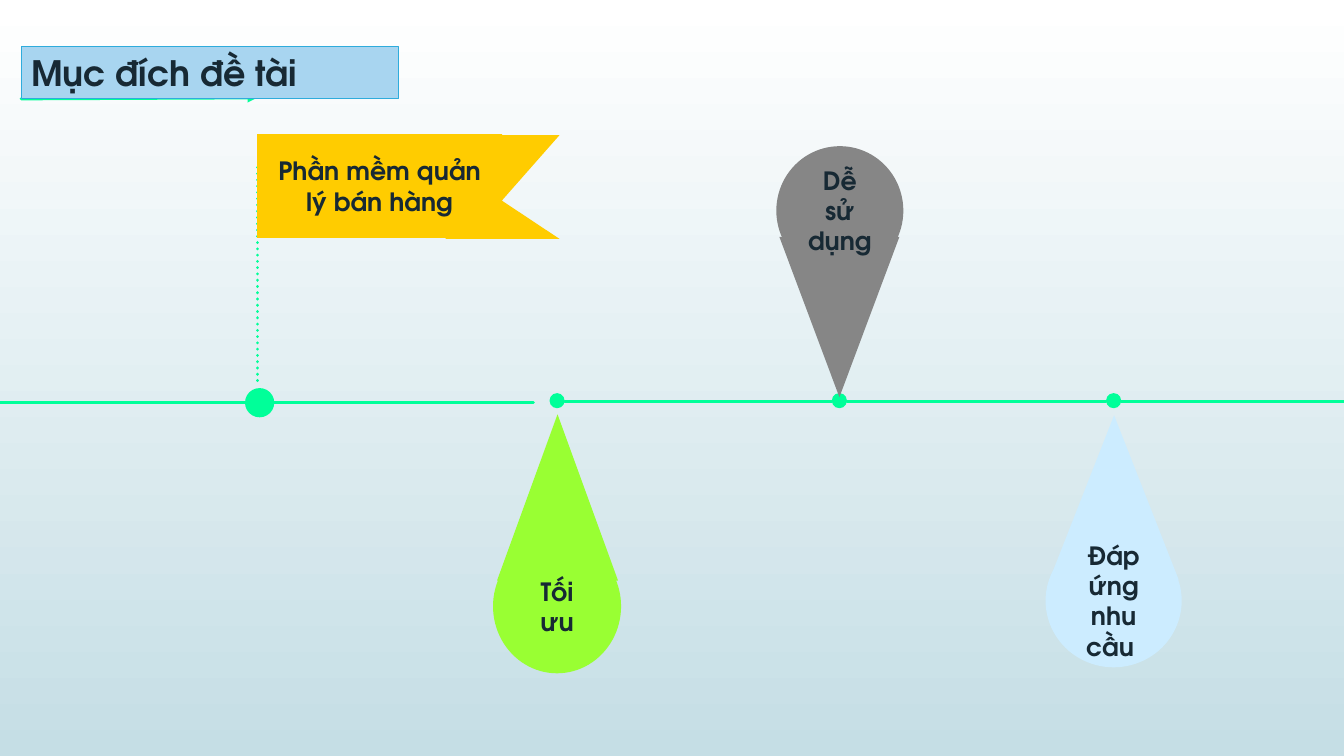
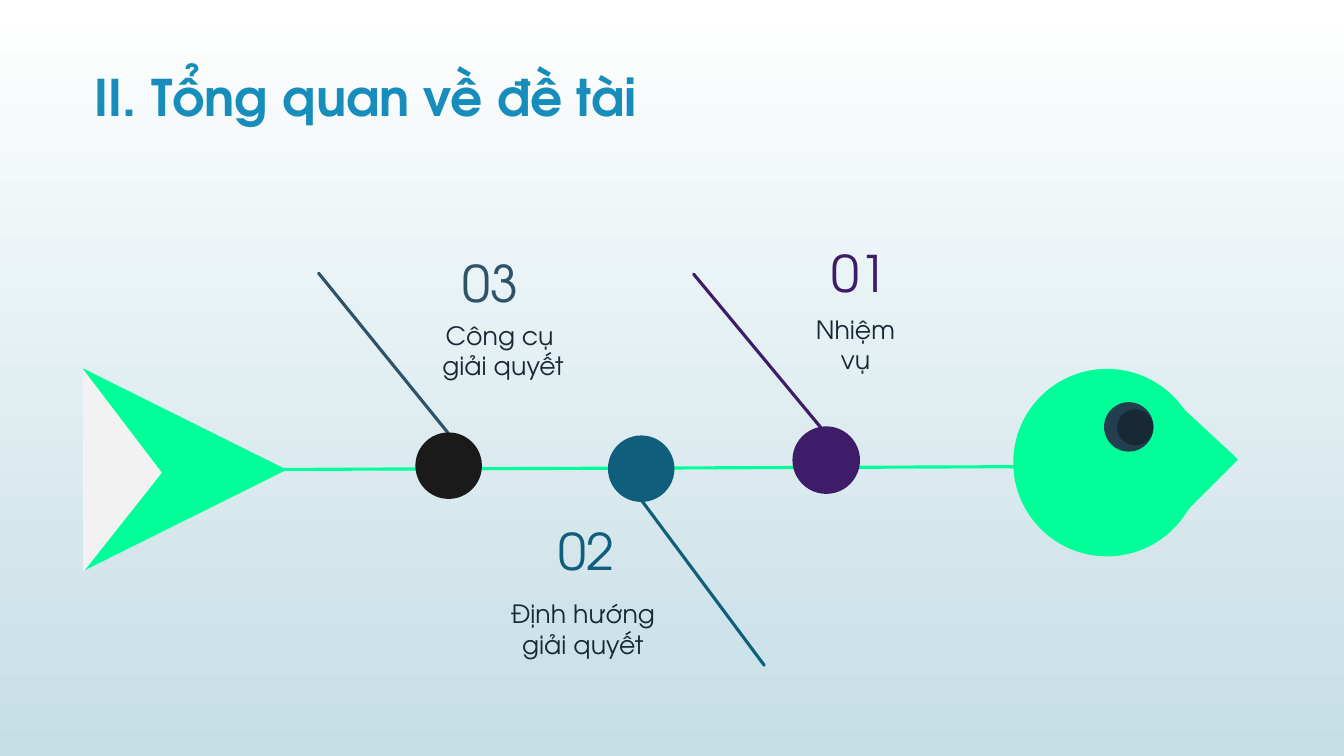
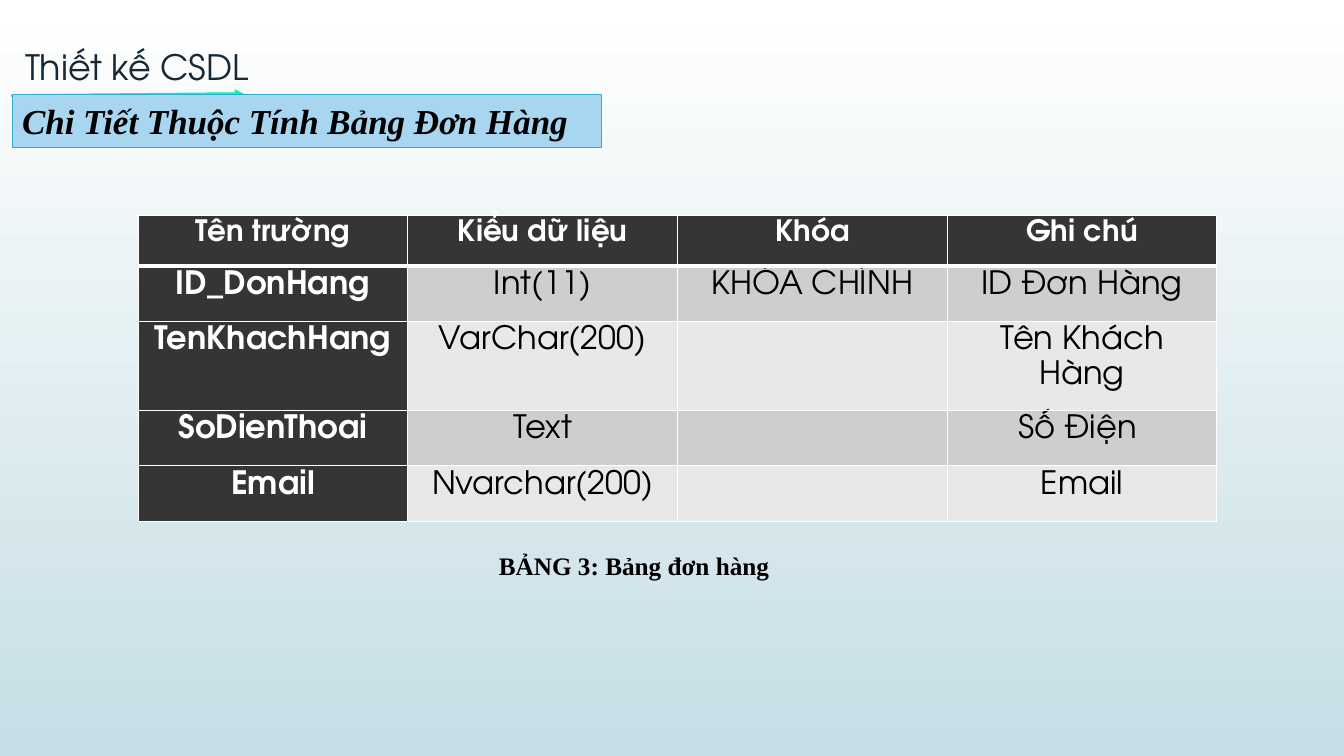
from dataclasses import dataclass
from typing import Optional

from lxml.etree import SubElement
from pptx import Presentation
from pptx.dml.color import RGBColor
from pptx.enum.dml import MSO_LINE
from pptx.enum.shapes import MSO_CONNECTOR, MSO_SHAPE
from pptx.enum.text import MSO_ANCHOR, PP_ALIGN
from pptx.oxml.ns import qn
from pptx.util import Inches, Pt

# Shared colours and fonts
WHITE = RGBColor(0xFF, 0xFF, 0xFF)
BLACK = RGBColor(0x00, 0x00, 0x00)
MIST = RGBColor(0xC5, 0xDE, 0xE5)
INK = RGBColor(0x17, 0x29, 0x34)
MINT = RGBColor(0x00, 0xFF, 0x99)
BAND = RGBColor(0xA8, 0xD5, 0xF0)
BAND_EDGE = RGBColor(0x2F, 0xAC, 0xDC)
TITLE_BLUE = RGBColor(0x17, 0x8D, 0xBB)
YELLOW = RGBColor(0xFF, 0xCC, 0x00)
LIME = RGBColor(0x99, 0xFF, 0x33)
SKY = RGBColor(0xCC, 0xEC, 0xFF)
GREY = RGBColor(0x86, 0x86, 0x86)
PURPLE = RGBColor(0x3F, 0x1C, 0x6A)
TEAL = RGBColor(0x0F, 0x5E, 0x7C)
SLATE = RGBColor(0x2E, 0x53, 0x69)
COAL = RGBColor(0x1A, 0x1A, 0x1A)
TAIL_GREY = RGBColor(0xF2, 0xF2, 0xF2)
EYE = RGBColor(0x23, 0x3E, 0x4F)
HEAD_FILL = RGBColor(0x35, 0x35, 0x35)
ROW_FILLS = (RGBColor(0xCE, 0xCE, 0xCE), RGBColor(0xE8, 0xE8, 0xE8))
SANS = "TeX Gyre Adventor"
SERIF = "Times New Roman"

Box = tuple[float, float, float, float]
Point = tuple[float, float]


@dataclass(frozen=True)
class Style:
    size: float = 18
    color: RGBColor = INK
    bold: bool = False
    italic: bool = False
    font: str = SANS
    align: PP_ALIGN = PP_ALIGN.LEFT


LABEL = Style(bold=True, align=PP_ALIGN.CENTER)
CAPTION = Style(align=PP_ALIGN.CENTER)
BAND_TITLE = Style(25, bold=True)


@dataclass(frozen=True)
class Drop:
    text: str
    color: RGBColor
    point: Box
    bulb: Box
    rotation: float = 0


@dataclass(frozen=True)
class Bone:
    number: str
    lines: tuple[str, ...]
    color: RGBColor
    joint_color: RGBColor
    start: Point
    end: Point
    joint: Box
    number_at: Point
    text_box: Box


def write(frame, lines: tuple[str, ...], style: Style) -> None:
    for index, line in enumerate(lines):
        paragraph = frame.paragraphs[0] if index == 0 else frame.add_paragraph()
        paragraph.text = line
        paragraph.alignment = style.align
        font = paragraph.font
        font.name, font.size = style.font, Pt(style.size)
        font.bold, font.italic = style.bold, style.italic
        font.color.rgb = style.color


def add_text(slide, box: Box, lines: tuple[str, ...], style: Style, wrap: bool = True) -> None:
    frame = slide.shapes.add_textbox(*map(Inches, box)).text_frame
    frame.word_wrap = wrap
    write(frame, lines, style)


def add_block(slide, kind: MSO_SHAPE, box: Box, fill: RGBColor, rotation: float = 0,
              text: str = "", style: Style = LABEL, edge: Optional[RGBColor] = None,
              anchor: MSO_ANCHOR = MSO_ANCHOR.MIDDLE):
    block = slide.shapes.add_shape(kind, *map(Inches, box))
    block.shadow.inherit = False
    block.rotation = rotation
    block.fill.solid()
    block.fill.fore_color.rgb = fill
    if edge is None:
        block.line.fill.background()
    else:
        block.line.color.rgb = edge
        block.line.width = Pt(0.75)
    if text:
        block.text_frame.word_wrap = True
        block.text_frame.vertical_anchor = anchor
        write(block.text_frame, (text,), style)
    return block


def add_line(slide, start: Point, end: Point, color: RGBColor = MINT,
             dotted: bool = False, arrow: bool = False) -> None:
    line = slide.shapes.add_connector(MSO_CONNECTOR.STRAIGHT, *map(Inches, start + end))
    line.line.color.rgb = color
    line.line.width = Pt(2.25)
    if dotted:
        line.line.dash_style = MSO_LINE.ROUND_DOT
    properties = line.element.spPr
    stroke = properties.find(qn("a:ln"))
    stroke.set("cap", "rnd")
    if arrow:
        SubElement(stroke, qn("a:tailEnd"), type="triangle")
    SubElement(properties, qn("a:effectLst"))


def add_band(slide, box: Box, text: str, style: Style) -> None:
    add_block(slide, MSO_SHAPE.RECTANGLE, box, BAND, text=text, style=style,
              edge=BAND_EDGE, anchor=MSO_ANCHOR.TOP)


def set_background(master) -> None:
    fill = master.background.fill
    fill.gradient()
    fill.gradient_angle = 270
    for stop, color, position in zip(fill.gradient_stops, (WHITE, MIST), (0, 1)):
        stop.color.rgb = color
        stop.position = position


# Slide 1: purpose timeline
DROPS = (
    Drop("Tối ưu", LIME, (4.93, 4.11, 1.2, 1.65), (4.89, 5.35, 1.27, 1.33)),
    Drop("Đáp ứng nhu cầu ", SKY, (10.41, 4.12, 1.28, 1.63), (10.37, 5.3, 1.35, 1.32)),
    Drop("Dễ sử dụng", GREY, (7.73, 2.35, 1.19, 1.59), (7.7, 1.45, 1.26, 1.28), 180),
)
MILESTONES = (5.45, 8.25, 10.97)
MILESTONE_SIZE = 0.15


def build_purpose(slide) -> None:
    add_line(slide, (0.21, 0.98), (2.55, 0.97), arrow=True)
    add_band(slide, (0.21, 0.46, 3.74, 0.52), "Mục đích đề tài", BAND_TITLE)

    # Flag on its pole
    add_line(slide, (0, 3.99), (2.43, 3.99))
    add_block(slide, MSO_SHAPE.OVAL, (2.43, 3.85, 0.29, 0.29), MINT)
    add_line(slide, (2.55, 1.66), (2.55, 3.83), dotted=True)
    add_block(slide, MSO_SHAPE.RIGHT_TRIANGLE, (4.42, 1.62, 1.13, 0.75), YELLOW)
    add_block(slide, MSO_SHAPE.RIGHT_TRIANGLE, (4.76, 1.39, 0.84, 0.74), YELLOW, 90)
    add_block(slide, MSO_SHAPE.RECTANGLE, (2.55, 1.33, 2.43, 1.03), YELLOW,
              text="Phần mềm quản lý bán hàng")
    add_line(slide, (2.72, 3.99), (5.29, 3.99))

    # Milestones, each followed by its stretch of the line
    for left, following in zip(MILESTONES, MILESTONES[1:] + (13.33,)):
        add_block(slide, MSO_SHAPE.OVAL, (left, 3.9, MILESTONE_SIZE, MILESTONE_SIZE), MINT)
        add_line(slide, (left + MILESTONE_SIZE, 3.98), (following, 3.98))

    for drop in DROPS:
        add_block(slide, MSO_SHAPE.ISOSCELES_TRIANGLE, drop.point, drop.color, drop.rotation)
        add_block(slide, MSO_SHAPE.OVAL, drop.bulb, drop.color, text=drop.text)


# Slide 2: fishbone overview
BONES = (
    Bone("01", ("Nhiệm vụ",), PURPLE, PURPLE, (6.88, 2.72), (8.14, 4.24),
         (7.86, 4.23, 0.67, 0.67), (8.15, 2.35), (7.9, 3.07, 1.17, 0.71)),
    Bone("02", ("Định hướng giải quyết",), TEAL, TEAL, (6.36, 4.96), (7.58, 6.6),
         (6.03, 4.32, 0.66, 0.66), (5.44, 5.11), (4.87, 5.89, 1.82, 0.71)),
    Bone("03", ("Công cụ ", "giải quyết"), SLATE, COAL, (3.16, 2.71), (4.44, 4.29),
         (4.12, 4.29, 0.66, 0.66), (4.49, 2.45), (4.08, 3.13, 1.82, 0.71)),
)


def build_overview(slide) -> None:
    add_text(slide, (0.84, 0.61, 11.5, 1.45), ("II. Tổng quan về đề tài",),
             Style(36, TITLE_BLUE, bold=True))
    add_line(slide, (2.08, 4.66), (10.05, 4.63))

    for bone in BONES:
        add_line(slide, bone.start, bone.end, bone.color)
        add_block(slide, MSO_SHAPE.OVAL, bone.joint, bone.joint_color)
        add_text(slide, bone.number_at + (0.92, 0.71), (bone.number,), Style(36, bone.color))
        add_text(slide, bone.text_box, bone.lines, CAPTION)

    # Tail
    add_block(slide, MSO_SHAPE.ISOSCELES_TRIANGLE, (0.83, 3.65, 2.01, 2.02), MINT, 90)
    notch = add_block(slide, MSO_SHAPE.ISOSCELES_TRIANGLE, (0.21, 4.28, 2.01, 0.78),
                      TAIL_GREY, 90)
    notch.adjustments[0] = 0.51

    # Head
    snout = add_block(slide, MSO_SHAPE.ISOSCELES_TRIANGLE, (11.05, 4.17, 1.62, 0.84), MINT, 90)
    snout.adjustments[0] = 0.48
    add_block(slide, MSO_SHAPE.OVAL, (10.05, 3.66, 1.86, 1.86), MINT)
    add_block(slide, MSO_SHAPE.OVAL, (10.95, 3.99, 0.49, 0.49), EYE)
    add_block(slide, MSO_SHAPE.OVAL, (11.08, 4.06, 0.36, 0.36), INK)


# Slide 3: order table fields
FIELDS = (
    ("Tên trường", "Kiểu dữ liệu", "Khóa", "Ghi chú"),
    ("ID_DonHang", "Int(11)", "KHÓA CHÍNH", "ID Đơn Hàng"),
    ("TenKhachHang", "VarChar(200)", "", "Tên Khách Hàng"),
    ("SoDienThoai", "Text", "", "Số Điện "),
    ("Email", "Nvarchar(200)", "", "Email"),
)
ROW_HEIGHTS = (0.5, 0.55, 0.87, 0.55, 0.55)


def set_borders(cell, top: float, bottom: float) -> None:
    for side, width in (("L", 1), ("R", 1), ("T", top), ("B", bottom)):
        border = SubElement(cell._tc.get_or_add_tcPr(), qn(f"a:ln{side}"), w=str(Pt(width)))
        SubElement(SubElement(border, qn("a:solidFill")), qn("a:srgbClr"), val=str(WHITE))


def add_fields(slide) -> None:
    table = slide.shapes.add_table(len(FIELDS), len(FIELDS[0]), Inches(1.37), Inches(2.14),
                                   Inches(10.7), Inches(sum(ROW_HEIGHTS))).table
    table.horz_banding = False
    for row, height in zip(table.rows, ROW_HEIGHTS):
        row.height = Inches(height)
    for r, values in enumerate(FIELDS):
        for c, value in enumerate(values):
            cell = table.cell(r, c)
            heading = r == 0 or c == 0
            set_borders(cell, top=3 if r == 1 else 1, bottom=3 if r == 0 else 1)
            cell.fill.solid()
            cell.fill.fore_color.rgb = HEAD_FILL if heading else ROW_FILLS[(r - 1) % 2]
            cell.margin_left = cell.margin_right = Inches(0.12)
            cell.margin_top = cell.margin_bottom = 0
            write(cell.text_frame, (value,),
                  Style(21 if r == 0 else 23, WHITE if heading else BLACK, bold=heading,
                        align=PP_ALIGN.CENTER))
            cell.text_frame.paragraphs[0].line_spacing = 1.15


def build_fields(slide) -> None:
    add_line(slide, (0.12, 0.95), (2.42, 0.93), arrow=True)
    add_text(slide, (0.15, 0.4, 4.13, 0.52), ("Thiết kế CSDL",), Style(25))
    add_fields(slide)
    add_text(slide, (4.85, 5.41, 2.91, 0.4), ("BẢNG 3: Bảng đơn hàng",),
             Style(18, BLACK, bold=True, font=SERIF), wrap=False)
    add_band(slide, (0.12, 0.94, 5.85, 0.52), "Chi Tiết Thuộc Tính Bảng Đơn Hàng",
             Style(25, BLACK, bold=True, italic=True, font=SERIF))


def main() -> None:
    deck = Presentation()
    deck.slide_width, deck.slide_height = Inches(13.33), Inches(7.5)
    set_background(deck.slide_master)
    for build in (build_purpose, build_overview, build_fields):
        build(deck.slides.add_slide(deck.slide_layouts[6]))
    deck.save("out.pptx")


if __name__ == "__main__":
    main()
